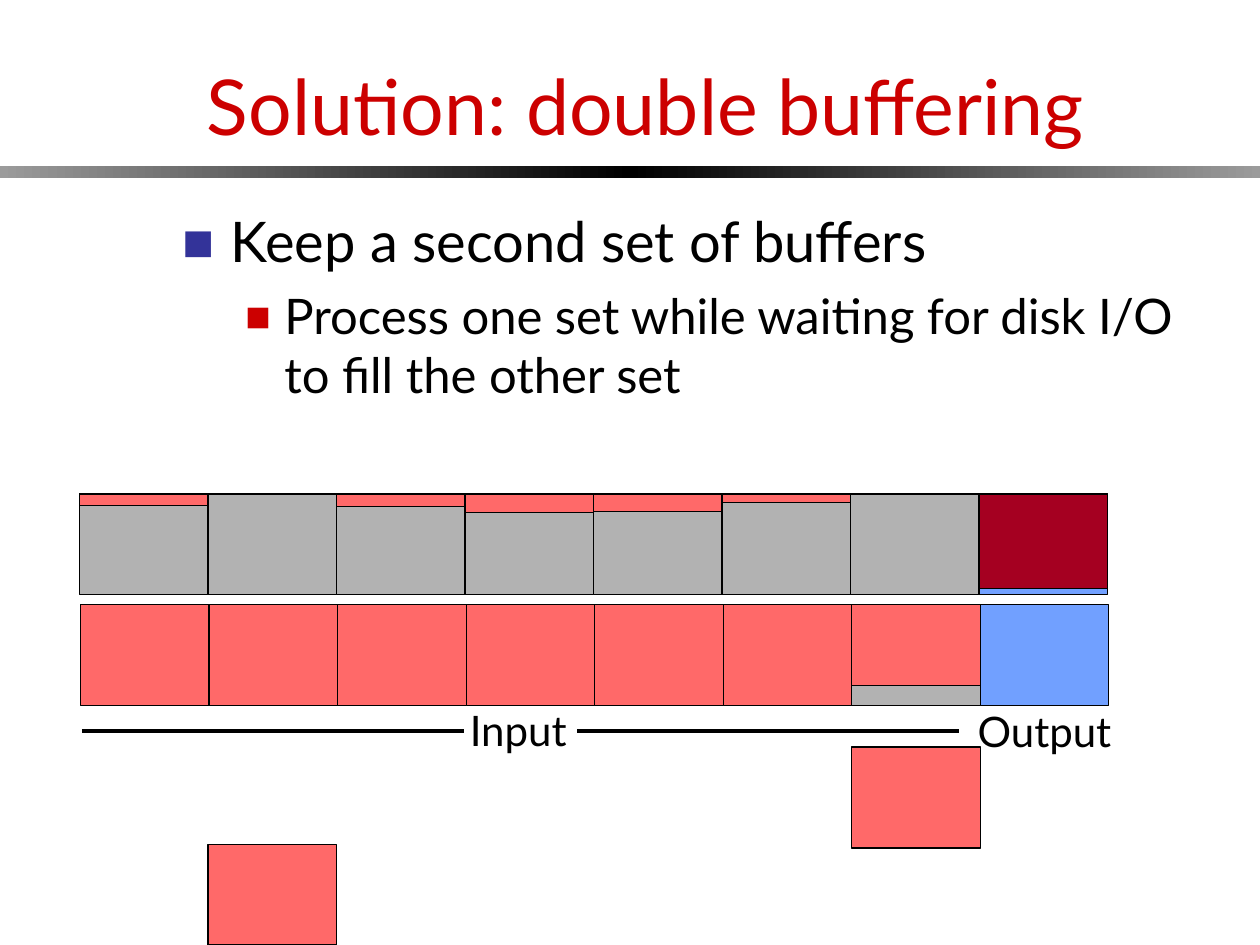
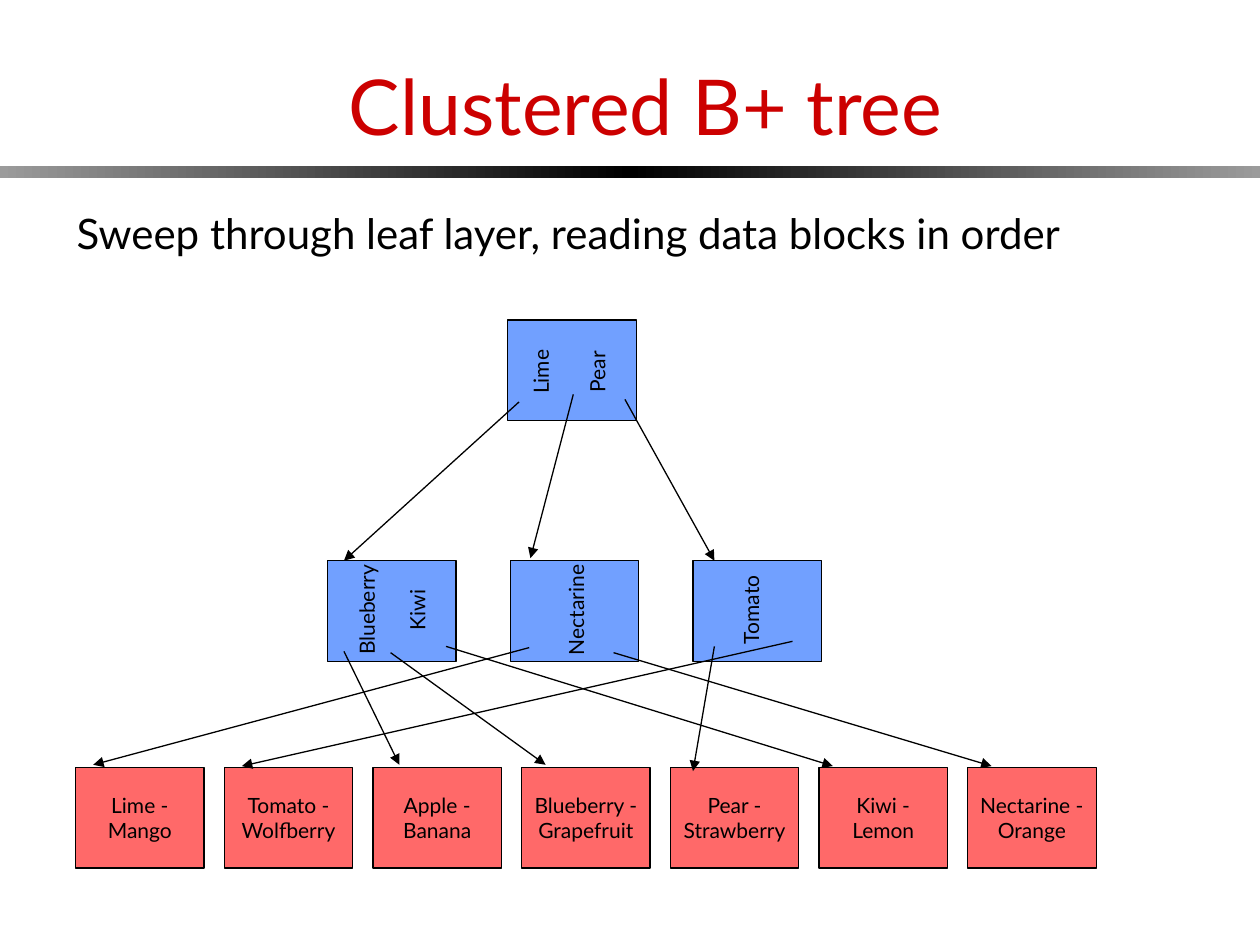
from pptx import Presentation
from pptx.dml.color import RGBColor
from pptx.enum.shapes import MSO_CONNECTOR, MSO_SHAPE
from pptx.enum.text import MSO_ANCHOR, MSO_AUTO_SIZE, PP_ALIGN
from pptx.oxml.ns import qn
from pptx.util import Inches, Pt
from lxml import etree

BLACK = RGBColor(0x00, 0x00, 0x00)
BAND_EDGE = RGBColor(0x9B, 0x9B, 0x9B)
RED = RGBColor(0xCC, 0x00, 0x00)
INDIGO = RGBColor(0x33, 0x33, 0x99)
GREY = RGBColor(0xB2, 0xB2, 0xB2)
BLUE = RGBColor(0x71, 0xA0, 0xFF)
CORAL = RGBColor(0xFF, 0x69, 0x69)
DARK_RED = RGBColor(0xA5, 0x00, 0x21)

FONT = "Lato"
BLOCK_W, BLOCK_H = 1.02, 0.8


def box(left, top, width, height):
    return [Inches(v) for v in (left, top, width, height)]


def write(p, text, size, color=BLACK, align=None):
    p.alignment = align
    r = p.add_run()
    r.text = text
    formats = {"name": FONT, "size": Pt(size), "bold": False}
    for name, value in formats.items():
        setattr(r.font, name, value)
    r.font.color.rgb = color


def add_band(s):
    """Draw the bar below the title, black in the middle and grey at both ends."""
    for left, colors in ((0, (BAND_EDGE, BLACK)), (5, (BLACK, BAND_EDGE))):
        half = s.shapes.add_shape(MSO_SHAPE.RECTANGLE, *box(left, 1.32, 5, 0.09))
        half.shadow.inherit = False
        half.line.fill.background()
        half.fill.gradient()
        half.fill.gradient_angle = 0
        for stop, color in zip(half.fill.gradient_stops, colors):
            stop.color.rgb = color


def add_titled_slide(prs, title):
    s = prs.slides.add_slide(prs.slide_layouts[5])
    add_band(s)
    sp = s.shapes.title
    sp.left, sp.top, sp.width, sp.height = box(0.55, 0, 9.15, 1.25)
    tf = sp.text_frame
    formats = {"vertical_anchor": MSO_ANCHOR.BOTTOM, "word_wrap": True,
               "auto_size": MSO_AUTO_SIZE.NONE}
    for name, value in formats.items():
        setattr(tf, name, value)
    write(tf.paragraphs[0], title, 44, RED, PP_ALIGN.CENTER)
    return s


def add_block(s, left, top, color, height=BLOCK_H, text=None):
    sp = s.shapes.add_shape(MSO_SHAPE.RECTANGLE, *box(left, top, BLOCK_W, height))
    sp.shadow.inherit = False
    sp.fill.solid()
    sp.fill.fore_color.rgb = color
    sp.line.color.rgb = BLACK
    sp.line.width = Pt(0.75)
    if text:
        tf = sp.text_frame
        formats = {"word_wrap": True, "vertical_anchor": MSO_ANCHOR.MIDDLE,
                   "margin_left": Inches(0.08), "margin_right": Inches(0.08)}
        for name, value in formats.items():
            setattr(tf, name, value)
        write(tf.paragraphs[0], text, 12, align=PP_ALIGN.CENTER)


def add_text(s, left, top, width, height, text, size=24, align=None, rotation=0):
    sp = s.shapes.add_textbox(*box(left, top, width, height))
    sp.rotation = rotation
    sp.text_frame.word_wrap = True
    write(sp.text_frame.paragraphs[0], text, size, align=align)


def add_line(s, start, end, width=0.75, arrow=False):
    ends = [Inches(v) for v in (*start, *end)]
    c = s.shapes.add_connector(MSO_CONNECTOR.STRAIGHT, *ends)
    c.line.color.rgb = BLACK
    c.line.width = Pt(width)
    spPr = c.element.spPr
    if arrow:
        etree.SubElement(spPr.find(qn("a:ln")), qn("a:tailEnd"), type="triangle")
    etree.SubElement(spPr, qn("a:effectLst"))


def set_bullet(p, color, percent, left, hanging):
    pPr = p._p.get_or_add_pPr()
    pPr.set("marL", str(Inches(left)))
    pPr.set("indent", str(-Inches(hanging)))
    bu_color = etree.SubElement(pPr, qn("a:buClr"))
    etree.SubElement(bu_color, qn("a:srgbClr"), val=str(color))
    etree.SubElement(pPr, qn("a:buSzPct"), val=str(percent * 1000))
    etree.SubElement(pPr, qn("a:buFont"), typeface=FONT)
    etree.SubElement(pPr, qn("a:buChar"), char="■")


def add_bullets(s):
    tf = s.shapes.add_textbox(*box(1.35, 1.59, 8.5, 2)).text_frame
    tf.word_wrap = True
    p = tf.paragraphs[0]
    write(p, "Keep a second set of buffers", 32)
    p.space_before = Pt(8)
    set_bullet(p, INDIGO, 60, 0.38, 0.38)
    p = tf.add_paragraph()
    p.level = 1
    write(p, "Process one set while waiting for disk I/O to fill the other set", 28)
    p.space_before = Pt(7)
    set_bullet(p, RED, 55, 0.81, 0.31)


def add_buffer_set(s, left, top, input_levels, output_level):
    """Draw a row of input buffers and one output buffer, each filled from the top."""
    buffers = [(level, GREY, CORAL) for level in input_levels]
    buffers.append((output_level, BLUE, DARK_RED))
    for i, (level, empty, filled) in enumerate(buffers):
        x = left + i * BLOCK_W
        if level < BLOCK_H:
            add_block(s, x, top, empty)
        if level:
            add_block(s, x, top, filled, level)


def build_double_buffering(prs):
    s = add_titled_slide(prs, "Solution: double buffering")
    add_bullets(s)
    add_buffer_set(s, 0.63, 3.92, [0.09, 0, 0.1, 0.15, 0.14, 0.07, 0], 0.75)
    add_buffer_set(s, 0.64, 4.8, [BLOCK_H] * 6 + [0.64], 0)
    add_text(s, 3.63, 5.54, 1.05, 0.5, "Input")
    add_text(s, 7.66, 5.55, 1.32, 0.5, "Output")
    for start, end in ((0.65, 3.68), (4.58, 7.61)):
        add_line(s, (start, 5.8), (end, 5.8), 2.25)
    for left, top in ((6.76, 5.93), (1.65, 6.7)):
        add_block(s, left, top, CORAL)


def build_tree(prs):
    s = add_titled_slide(prs, "Clustered B+ tree")
    add_text(s, 0.51, 1.6, 8.7, 0.5,
             "Sweep through leaf layer, reading data blocks in order")

    leaves = ["Lime - Mango", "Tomato - Wolfberry", "Apple - Banana",
              "Blueberry - Grapefruit", "Pear - Strawberry", "Kiwi - Lemon",
              "Nectarine - Orange"]
    for i, leaf in enumerate(leaves):
        add_block(s, 0.6 + 1.18 * i, 6.09, CORAL, text=leaf)
    add_block(s, 4.03, 2.54, BLUE)
    for i in range(3):
        add_block(s, 2.6 + 1.45 * i, 4.45, BLUE)

    keys = [("Lime", 3.77, 2.8), ("Pear", 4.22, 2.8),
            ("Blueberry", 2.39, 4.69), ("Kiwi", 2.79, 4.69),
            ("Nectarine", 4.05, 4.69), ("Tomato", 5.44, 4.69)]
    for key, left, top in keys:
        add_text(s, left, top, 1.04, 0.3, key, 12, PP_ALIGN.CENTER, 270)

    pointers = [
        ((4.12, 3.19), (2.73, 4.45)),
        ((4.55, 3.13), (4.21, 4.43)),
        ((4.96, 3.17), (5.67, 4.45)),
        ((2.73, 5.17), (3.17, 6.07)),
        ((3.1, 5.18), (4.33, 6.07)),
        ((3.54, 5.13), (6.61, 6.08)),
        ((4.2, 5.14), (0.74, 6.07)),
        ((4.87, 5.18), (7.87, 6.08)),
        ((5.67, 5.13), (5.5, 6.12)),
        ((6.29, 5.09), (1.92, 6.08)),
    ]
    for start, end in pointers:
        add_line(s, start, end, arrow=True)


def main():
    prs = Presentation()
    prs.slide_width, prs.slide_height = Inches(10), Inches(7.5)
    build_double_buffering(prs)
    build_tree(prs)
    prs.save("out.pptx")


if __name__ == "__main__":
    main()
